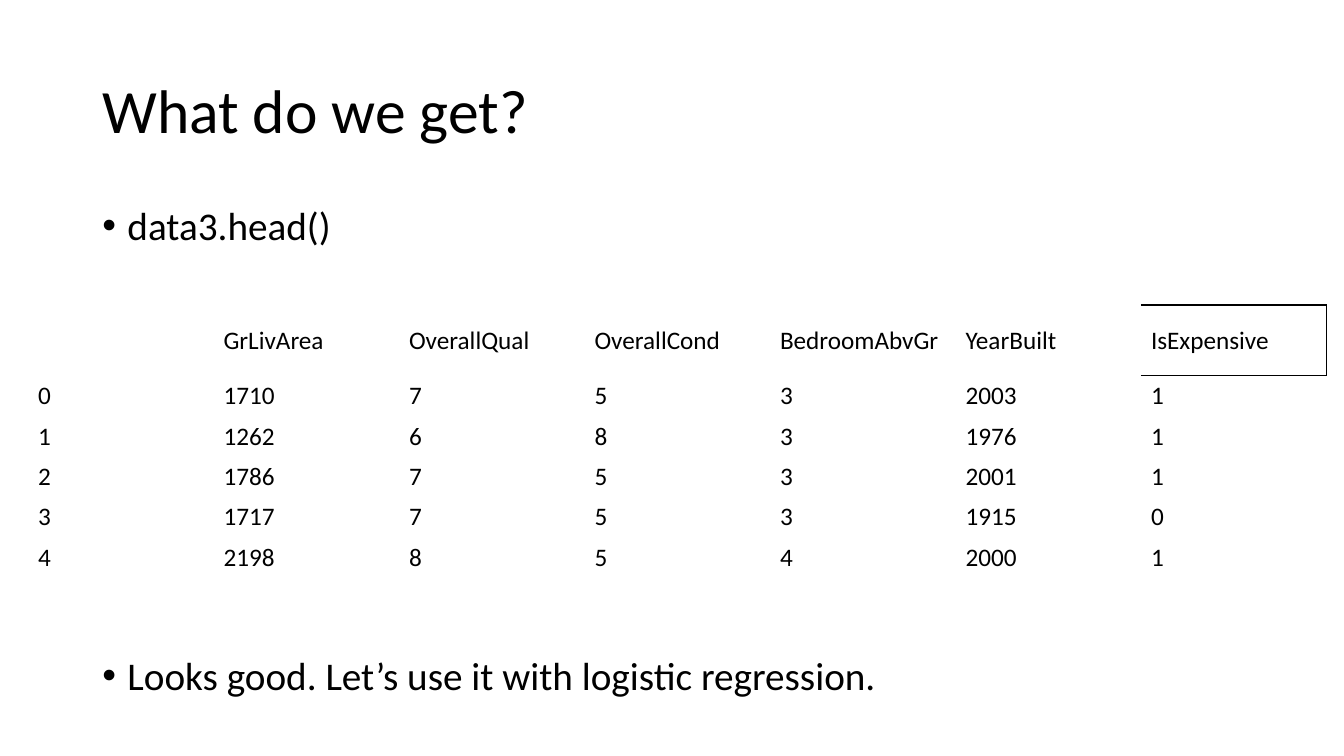
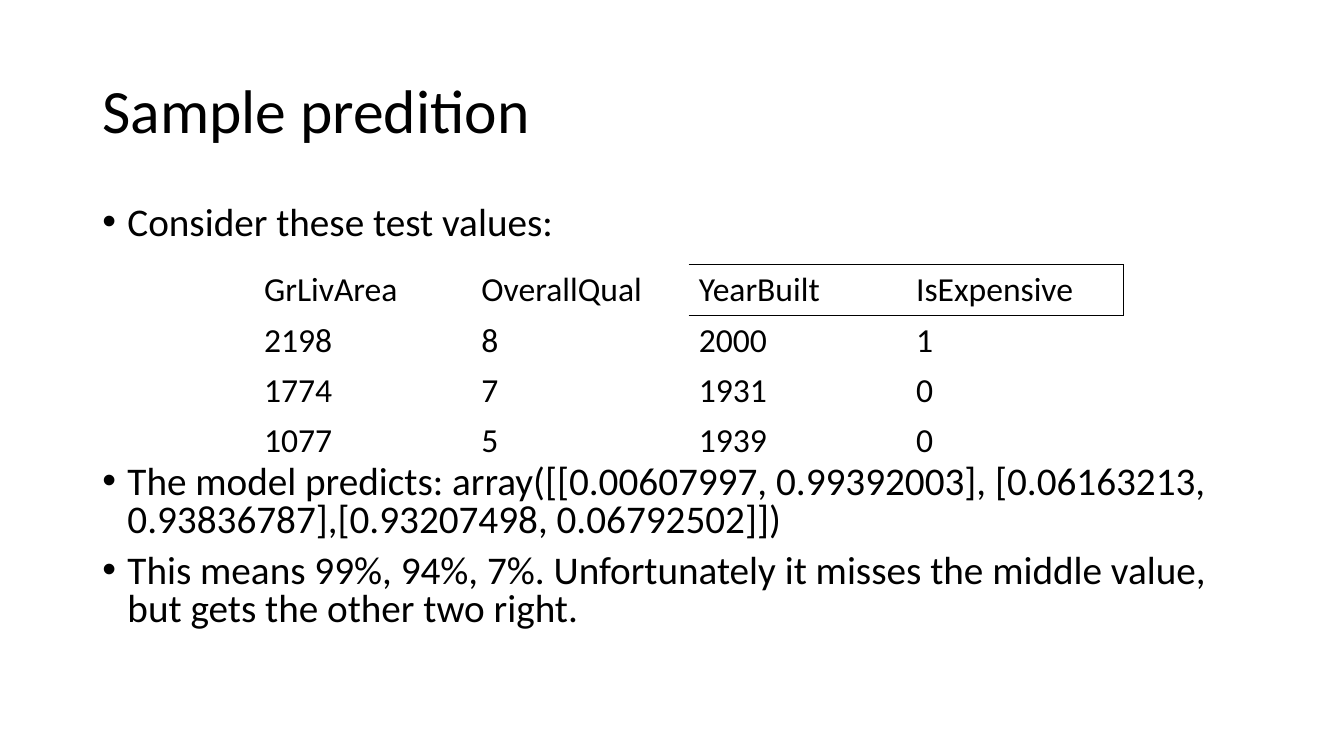
"""Build two slides on house price data and a sample prediction."""
import dataclasses

import lxml.etree
import pptx
import pptx.dml.color
import pptx.enum.text
import pptx.oxml.ns
import pptx.util

Pt = pptx.util.Pt
qn = pptx.oxml.ns.qn


@dataclasses.dataclass(frozen=True)
class Theme:
    font: str = "Calibri"
    ink: str = "000000"
    title_size: int = 44
    body_size: int = 28
    plain_table: str = "{2D5ABB26-0587-4C30-8999-92F81FD0307C}"


theme = Theme()


def style(paragraph, size):
    font = paragraph.font
    font.name = theme.font
    font.size = Pt(size)
    font.bold = False
    font.color.rgb = pptx.dml.color.RGBColor.from_string(theme.ink)


def add_border(cell, side, width):
    properties = cell._tc.get_or_add_tcPr()
    line = lxml.etree.SubElement(properties, qn(f"a:ln{side}"), w=str(Pt(width)))
    fill = lxml.etree.SubElement(line, qn("a:solidFill"))
    lxml.etree.SubElement(fill, qn("a:srgbClr"), val=theme.ink)


slides = [
    {
        "title": "What do we get?",
        "bullets": ["data3.head()", "Looks good. Let’s use it with logistic regression."],
        "line_spacing": 0.9,
        "table_gap": 291,
        "body_height": 396,
        "table_at": (20, 218),
        "column_width": 132.5,
        "row_heights": [50.4] + [28.8] * 5,
        "table_size": 18,
        "first_boxed": 6,
        "top_border": 1.5,
        "rows": [
            ["", "GrLivArea", "OverallQual", "OverallCond", "BedroomAbvGr", "YearBuilt", "IsExpensive"],
            [0, 1710, 7, 5, 3, 2003, 1],
            [1, 1262, 6, 8, 3, 1976, 1],
            [2, 1786, 7, 5, 3, 2001, 1],
            [3, 1717, 7, 5, 3, 1915, 0],
            [4, 2198, 8, 5, 4, 2000, 1],
        ],
    },
    {
        "title": "Sample predition",
        "bullets": [
            "Consider these test values:",
            "The model predicts: array([[0.00607997, 0.99392003], [0.06163213, 0.93836787],"
            "[0.93207498, 0.06792502]])",
            "This means 99%, 94%, 7%. Unfortunately it misses the middle value, "
            "but gets the other two right.",
        ],
        "line_spacing": 0.8,
        "table_gap": 158,
        "body_height": 343,
        "table_at": (181.5, 189),
        "column_width": 155.25,
        "row_heights": [36] * 4,
        "table_size": 24,
        "first_boxed": 2,
        "top_border": 0.75,
        "rows": [
            ["GrLivArea", "OverallQual", "YearBuilt", "IsExpensive"],
            [2198, 8, 2000, 1],
            [1774, 7, 1931, 0],
            [1077, 5, 1939, 0],
        ],
    },
]

presentation = pptx.Presentation()
presentation.slide_width = Pt(960)
presentation.slide_height = Pt(540)
title_only = presentation.slide_layouts[5]

for content in slides:
    slide = presentation.slides.add_slide(title_only)

    title = slide.shapes.title
    title.left, title.top, title.width, title.height = Pt(66), Pt(28.8), Pt(828), Pt(104.4)
    title.text_frame.text = content["title"]
    title.text_frame.vertical_anchor = pptx.enum.text.MSO_ANCHOR.MIDDLE
    paragraph = title.text_frame.paragraphs[0]
    paragraph.alignment = pptx.enum.text.PP_ALIGN.LEFT
    paragraph.line_spacing = 0.9
    style(paragraph, theme.title_size)

    body = slide.shapes.add_textbox(Pt(66), Pt(144), Pt(828), Pt(content["body_height"]))
    body.text_frame.word_wrap = True
    body.text_frame.text = "\n".join(content["bullets"])
    gaps = [0, content["table_gap"], 10]
    for paragraph, gap in zip(body.text_frame.paragraphs, gaps):
        properties = paragraph._p.get_or_add_pPr()
        properties.set("marL", str(Pt(18)))
        properties.set("indent", str(Pt(-18)))
        lxml.etree.SubElement(properties, qn("a:buFont"), typeface="Arial")
        lxml.etree.SubElement(properties, qn("a:buChar"), char="•")
        paragraph.line_spacing = content["line_spacing"]
        paragraph.space_before = Pt(gap)
        style(paragraph, theme.body_size)

    rows = content["rows"]
    heights = content["row_heights"]
    column_count = len(rows[0])
    left, top = content["table_at"]
    width = content["column_width"] * column_count
    frame = slide.shapes.add_table(
        len(rows), column_count, Pt(left), Pt(top), Pt(width), Pt(sum(heights))
    )
    table = frame.table
    table.first_row = False
    table.horz_banding = False
    table._tbl.tblPr.find(qn("a:tableStyleId")).text = theme.plain_table
    for column in table.columns:
        column.width = Pt(content["column_width"])
    for row_index, values in enumerate(rows):
        table.rows[row_index].height = Pt(heights[row_index])
        for column_index, value in enumerate(values):
            cell = table.cell(row_index, column_index)
            cell.text = str(value)
            cell.vertical_anchor = pptx.enum.text.MSO_ANCHOR.MIDDLE
            style(cell.text_frame.paragraphs[0], content["table_size"])
            if row_index == 0 and column_index >= content["first_boxed"]:
                if column_index == column_count - 1:
                    add_border(cell, "R", 0.75)
                add_border(cell, "T", content["top_border"])
                add_border(cell, "B", 0.75)
            cell.fill.background()

presentation.save("out.pptx")
